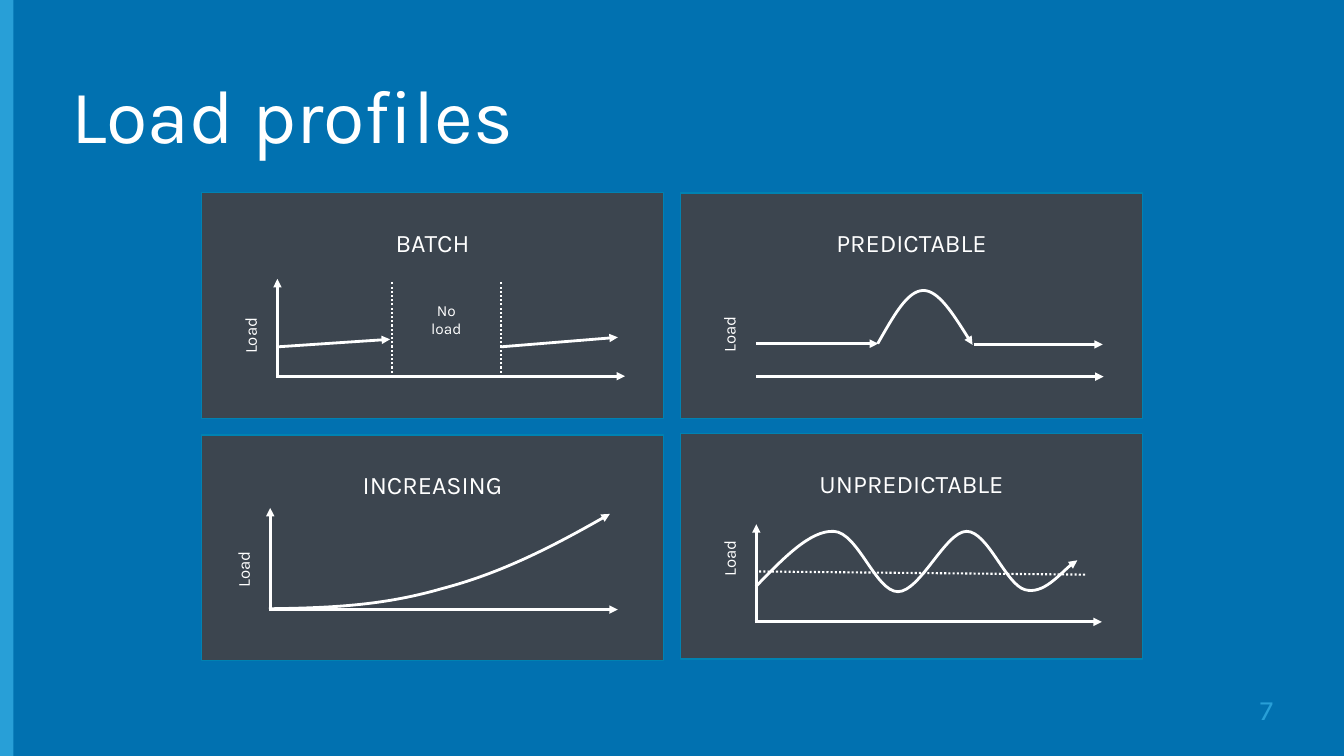
"""Builds the "Load profiles" slide with four hand-drawn load charts."""
from lxml import etree
from pptx import Presentation, util as u
from pptx.dml.color import RGBColor
from pptx.enum import dml, shapes, text
from pptx.oxml.ns import qn

color = RGBColor.from_string


def add_lines(frame, lines, size, align, font_color="FFFFFF", spacing=None):
    frame.word_wrap = True
    for index, line in enumerate(lines):
        paragraph = frame.paragraphs[0] if index == 0 else frame.add_paragraph()
        paragraph.alignment = align
        if spacing:
            paragraph.line_spacing = u.Pt(spacing)
            paragraph.space_before = u.Pt(size * 0.2)
        run = paragraph.add_run()
        run.text = line
        run.font.name = "Karla"
        run.font.size = u.Pt(size)
        run.font.color.rgb = color(font_color)


def style_stroke(shape, dotted=False):
    shape.line.color.rgb = color("FFFFFF")
    shape.line.width = u.Pt(1.5 if dotted else 2)
    properties = shape.element.spPr
    if dotted:
        shape.line.dash_style = dml.MSO_LINE.ROUND_DOT
    else:
        etree.SubElement(properties.find(qn("a:ln")), qn("a:tailEnd"), type="triangle")
    etree.SubElement(properties, qn("a:effectLst"))


presentation = Presentation()
presentation.slide_width = u.Cm(33.87)
presentation.slide_height = u.Cm(19.05)
slide = presentation.slides.add_slide(presentation.slide_layouts[6])
slide.background.fill.solid()
slide.background.fill.fore_color.rgb = color("0171B0")

bar = slide.shapes.add_shape(shapes.MSO_SHAPE.RECTANGLE, 0, 0, u.Cm(0.34), u.Cm(19.05))
bar.shadow.inherit = False
bar.fill.solid()
bar.fill.fore_color.rgb = color("289FD7")
bar.line.fill.background()

title = slide.shapes.add_textbox(u.Cm(1.55), u.Cm(1.17), u.Cm(30.78), u.Cm(3.68))
title.text_frame.vertical_anchor = text.MSO_ANCHOR.MIDDLE
add_lines(title.text_frame, ["Load profiles"], 54, text.PP_ALIGN.LEFT)
title.text_frame.paragraphs[0].line_spacing = 0.9

number = slide.shapes.add_textbox(u.Cm(24.71), u.Cm(17.37), u.Cm(7.62), u.Cm(1.02))
number.text_frame.vertical_anchor = text.MSO_ANCHOR.MIDDLE
add_lines(number.text_frame, ["7"], 20, text.PP_ALIGN.RIGHT, "289FD7")

panels = [
    ("INCREASING", 5.08, 10.96),
    ("BATCH", 5.08, 4.85),
    ("PREDICTABLE", 17.15, 4.86),
    ("UNPREDICTABLE", 17.15, 10.92),
]
for name, left, top in panels:
    panel = slide.shapes.add_shape(
        shapes.MSO_SHAPE.RECTANGLE, u.Cm(left), u.Cm(top), u.Cm(11.64), u.Cm(5.69))
    panel.shadow.inherit = False
    panel.fill.solid()
    panel.fill.fore_color.rgb = color("3C454F")
    panel.line.color.rgb = color("0082B2")
    panel.line.width = u.Pt(1)
    panel.text_frame.vertical_anchor = text.MSO_ANCHOR.TOP
    panel.text_frame.margin_top = u.Cm(0.87)
    add_lines(panel.text_frame, [name], 18, text.PP_ALIGN.CENTER)

axis_label_width, axis_label_height = 2.84, 0.66
for center_x, center_y in [(6.39, 8.46), (18.45, 8.43), (6.21, 14.35), (18.46, 14.07)]:
    label = slide.shapes.add_textbox(
        u.Cm(center_x - axis_label_width / 2), u.Cm(center_y - axis_label_height / 2),
        u.Cm(axis_label_width), u.Cm(axis_label_height))
    label.rotation = 270
    add_lines(label.text_frame, ["Load"], 12, text.PP_ALIGN.CENTER, spacing=10.7)

gap_label = slide.shapes.add_textbox(u.Cm(9.7), u.Cm(7.54), u.Cm(3.1), u.Cm(1.14))
add_lines(gap_label.text_frame, ["No", "load"], 11, text.PP_ALIGN.CENTER, spacing=10.7)

axes = [
    (6.99, 9.53, 6.99, 7.03), (6.99, 9.48, 15.75, 9.48),
    (19.05, 9.49, 27.81, 9.49),
    (6.81, 15.39, 6.81, 12.8), (6.81, 15.36, 15.57, 15.36),
    (19.06, 15.7, 19.06, 13.21), (19.02, 15.67, 27.77, 15.67),
]
trends = [
    (6.99, 8.74, 9.83, 8.55), (12.62, 8.74, 15.57, 8.5),
    (19.05, 8.66, 22.13, 8.66), (24.54, 8.68, 27.79, 8.68),
]
guides = [
    (9.88, 9.5, 9.88, 7.11), (12.62, 9.5, 12.62, 7.11),
    (19.13, 14.4, 27.36, 14.48),
]
for group, dotted in [(axes, False), (trends, False), (guides, True)]:
    for ends in group:
        connector = slide.shapes.add_connector(
            shapes.MSO_CONNECTOR.STRAIGHT, *[u.Cm(value) for value in ends])
        style_stroke(connector, dotted)

increasing_curve = [
    (6.78, 15.34), (8.48, 15.32), (9.73, 15.24), (11.15, 14.83),
    (12.6, 14.45), (14, 13.74), (15.37, 12.95),
]
predictable_curve = [
    (22.12, 8.66), (22.5, 8), (22.86, 7.32), (23.27, 7.32),
    (23.65, 7.32), (24.08, 8), (24.51, 8.69),
]
unpredictable_curve = [
    (19.05, 14.78), (19.74, 14.07), (20.42, 13.36), (21.01, 13.39),
    (21.62, 13.41), (22.07, 14.91), (22.63, 14.91),
    (23.19, 14.91), (23.83, 13.39), (24.36, 13.39),
    (24.89, 13.39), (25.35, 14.73), (25.83, 14.86),
    (26.29, 14.99), (26.9, 14.25), (27.15, 14.12),
]
for controls in [increasing_curve, predictable_curve, unpredictable_curve]:
    start, *others = [(u.Cm(x), u.Cm(y)) for x, y in controls]
    builder = slide.shapes.build_freeform(*start)
    builder.add_line_segments(others, close=False)
    curve = builder.convert_to_shape()
    outline = next(curve.element.iter(qn("a:path")))
    segments = outline.findall(qn("a:lnTo"))
    for first in range(0, len(segments), 3):
        bezier = etree.SubElement(outline, qn("a:cubicBezTo"))
        for segment in segments[first:first + 3]:
            bezier.append(segment[0])
            outline.remove(segment)
    curve.fill.background()
    style_stroke(curve)

presentation.save("out.pptx")
